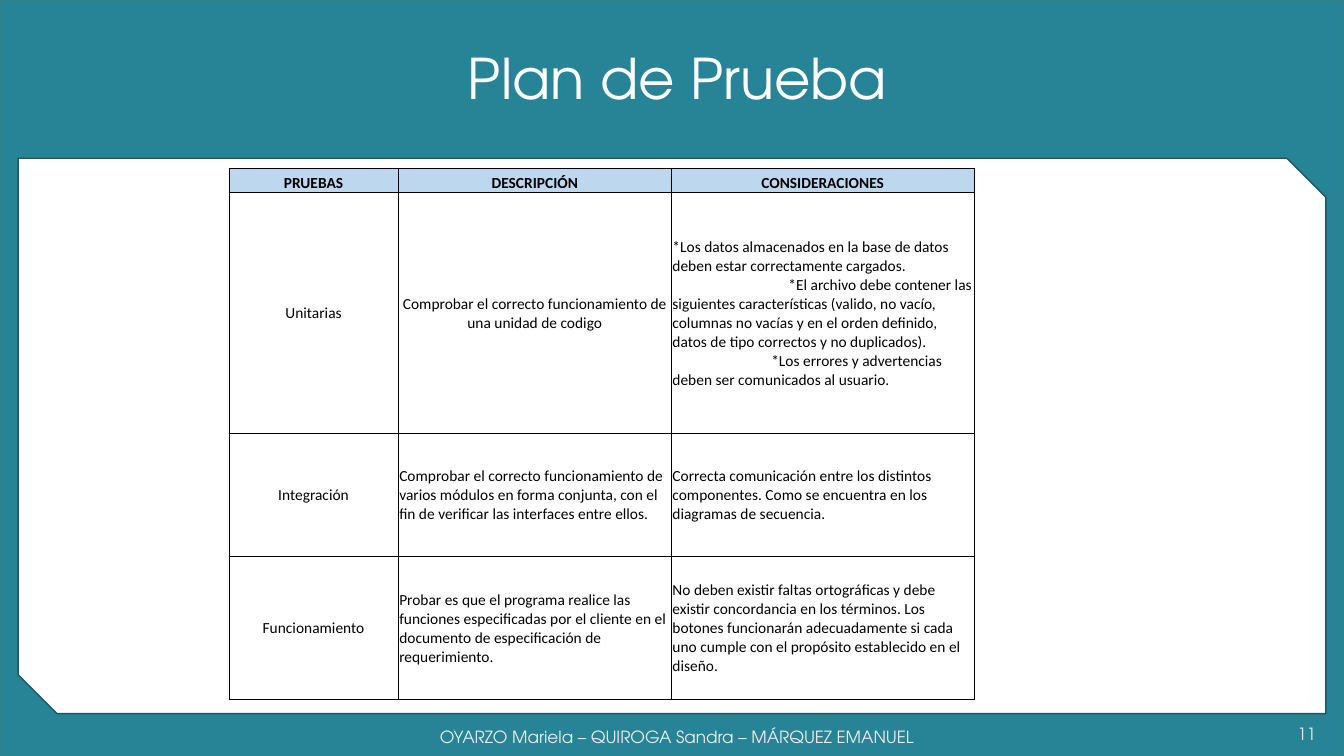
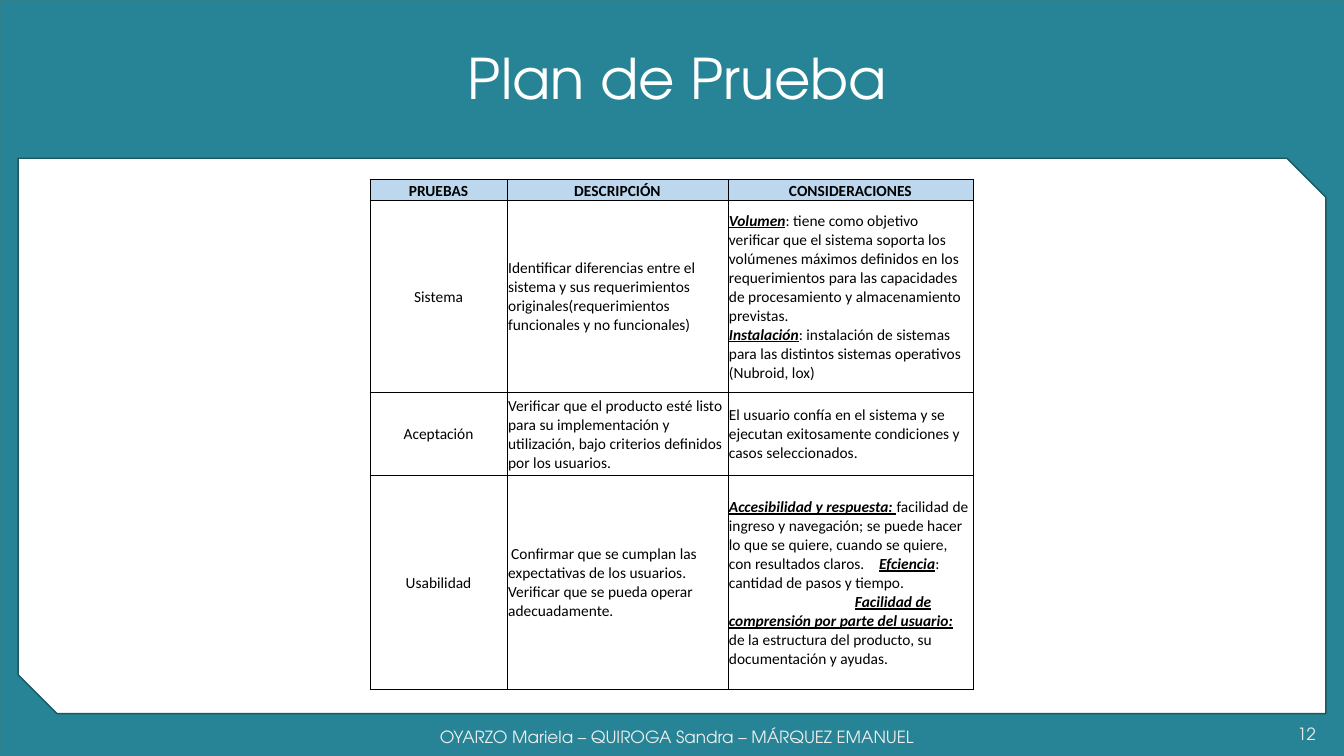
import pptx
import pptx.util
import pptx.dml.color
import pptx.enum.shapes
import pptx.enum.text
import pptx.oxml
import pptx.oxml.ns

Inches = pptx.util.Inches
Pt = pptx.util.Pt
RGB = pptx.dml.color.RGBColor
SHAPE = pptx.enum.shapes.MSO_SHAPE
ALIGN = pptx.enum.text.PP_ALIGN
ANCHOR = pptx.enum.text.MSO_ANCHOR

TEAL = RGB(0x26, 0x84, 0x96)
EDGE = RGB(0x30, 0x81, 0x8C)
DARK = RGB(0x20, 0x57, 0x5E)
WHITE = RGB(0xFF, 0xFF, 0xFF)
PALE = RGB(0xED, 0xED, 0xED)
BLUE = RGB(0xBD, 0xD7, 0xEE)
BLACK = RGB(0, 0, 0)
HEAD_FONT = "TeX Gyre Adventor"
BODY_FONT = "Calibri"

TITLE = "Plan de Prueba"
AUTHORS = "OYARZO Mariela – QUIROGA Sandra – MÁRQUEZ EMANUEL"
HEADER = ["PRUEBAS", "DESCRIPCIÓN", "CONSIDERACIONES"]
TAB_STOP = 1.49

# Each cell is a text or a list of (first-line indent, text); _marks_ emphasise.
SLIDES = [
    {
        "page": "11",
        "at": (2.27, 1.67),
        "cols": [1.68, 2.71, 3],
        "rows": [0.24, 2.39, 1.22, 1.42],
        "centred": {(1, 1)},
        "cells": [
            ["Unitarias",
             "Comprobar el correcto funcionamiento de una unidad de codigo",
             [(0, "*Los datos almacenados en la base de datos deben estar "
                  "correctamente cargados."),
              (1.15, "*El archivo debe contener las siguientes características "
                     "(valido, no vacío, columnas no vacías y en el orden "
                     "definido, datos de tipo correctos y no duplicados)."),
              (0.98, "*Los errores y advertencias deben ser comunicados al "
                     "usuario.")]],
            ["Integración",
             "Comprobar el correcto funcionamiento de varios módulos en forma "
             "conjunta, con el fin de verificar las interfaces entre ellos.",
             "Correcta comunicación entre los distintos componentes. Como se "
             "encuentra en los diagramas de secuencia."],
            ["Funcionamiento",
             "Probar es que el programa realice las funciones especificadas "
             "por el cliente en el documento de especificación de "
             "requerimiento.",
             "No deben existir faltas ortográficas y debe existir concordancia "
             "en los términos. Los botones funcionarán adecuadamente si cada "
             "uno cumple con el propósito establecido en el diseño."],
        ],
    },
    {
        "page": "12",
        "at": (3.67, 1.78),
        "cols": [1.36, 2.19, 2.43],
        "rows": [0.21, 1.9, 0.83, 2.12],
        "centred": set(),
        "cells": [
            ["Sistema",
             "Identificar diferencias entre el sistema y sus requerimientos "
             "originales(requerimientos funcionales y no funcionales)",
             [(0, "_Volumen_: tiene como objetivo verificar que el sistema "
                  "soporta los volúmenes máximos definidos en los "
                  "requerimientos para las capacidades de procesamiento y "
                  "almacenamiento previstas."),
              (0, "_Instalación_: instalación de sistemas para las distintos "
                  "sistemas operativos (Nubroid, lox)")]],
            ["Aceptación",
             "Verificar que el producto esté listo para su implementación y "
             "utilización, bajo criterios definidos por los usuarios.",
             "El usuario confía en el sistema y se ejecutan exitosamente "
             "condiciones y casos seleccionados."],
            ["Usabilidad",
             [(0.03, "Confirmar que se cumplan las expectativas de los "
                     "usuarios."),
              (0, "Verificar que se pueda operar adecuadamente.")],
             [(0, "_Accesibilidad y respuesta: _facilidad de ingreso y "
                  "navegación; se puede hacer lo que se quiere, cuando se "
                  "quiere, con resultados claros.\t_Efciencia_: cantidad de "
                  "pasos y tiempo."),
              (1.25, "_Facilidad de comprensión por parte del usuario:_ de la "
                     "estructura del producto, su documentación y ayudas.")]],
        ],
    },
]


def add_panel(slide, kind, box, fill, line):
    panel = slide.shapes.add_shape(kind, *map(Inches, box))
    panel.shadow.inherit = False
    panel.fill.solid()
    panel.fill.fore_color.rgb = fill
    panel.line.color.rgb = line
    panel.line.width = Pt(1)
    return panel


def set_font(para, name, size, color):
    para.font.name = name
    para.font.size = Pt(size)
    para.font.color.rgb = color


def add_label(slide, box, text, size, color, align):
    frame = slide.shapes.add_textbox(*map(Inches, box)).text_frame
    frame.word_wrap = True
    frame.vertical_anchor = ANCHOR.MIDDLE
    para = frame.paragraphs[0]
    para.text = text
    para.alignment = align
    set_font(para, HEAD_FONT, size, color)
    return para


def add_frame(slide, page):
    add_panel(slide, SHAPE.RECTANGLE, (0, 0, 13.33, 7.5), TEAL, EDGE)
    panel = add_panel(slide, SHAPE.SNIP_2_DIAG_RECTANGLE,
                      (0.18, 1.57, 12.97, 5.51), WHITE, DARK)
    panel.adjustments[0] = 0
    panel.adjustments[1] = 0.07
    title = add_label(slide, (2.68, 0.08, 8.08, 1.45), TITLE, 40, WHITE,
                      ALIGN.CENTER)
    title.line_spacing = 0.9
    add_label(slide, (3.34, 7.11, 6.75, 0.4), AUTHORS, 12, PALE, ALIGN.CENTER)
    add_label(slide, (11.27, 7.08, 1.88, 0.39), page, 12, PALE, ALIGN.RIGHT)


def add_border(cell):
    props = cell._tc.get_or_add_tcPr()
    for side in ("lnL", "lnR", "lnT", "lnB"):
        props.append(pptx.oxml.parse_xml(
            f'<a:{side} {pptx.oxml.ns.nsdecls("a")} w="{Pt(0.5)}">'
            f'<a:solidFill><a:srgbClr val="{BLACK}"/></a:solidFill>'
            f'</a:{side}>'))


def fill_para(para, indent, text):
    props = para._p.get_or_add_pPr()
    if indent:
        props.set("indent", str(Inches(indent)))
    if "\t" in text:
        props.append(pptx.oxml.parse_xml(
            f'<a:tabLst {pptx.oxml.ns.nsdecls("a")}>'
            f'<a:tab pos="{Inches(TAB_STOP)}" algn="l"/></a:tabLst>'))
    for num, part in enumerate(text.split("_")):
        if part:
            run = para.add_run()
            run.text = part
            if num % 2:
                run.font.bold = run.font.italic = run.font.underline = True


def fill_cell(cell, content, head, centred):
    cell.margin_left = cell.margin_right = cell.margin_top = Inches(0.01)
    cell.margin_bottom = 0
    cell.vertical_anchor = ANCHOR.BOTTOM if head else ANCHOR.MIDDLE
    add_border(cell)
    if head:
        cell.fill.solid()
        cell.fill.fore_color.rgb = BLUE
    else:
        cell.fill.background()
    paras = [(0, content)] if isinstance(content, str) else content
    frame = cell.text_frame
    for num, (indent, text) in enumerate(paras):
        para = frame.add_paragraph() if num else frame.paragraphs[0]
        para.alignment = ALIGN.CENTER if centred else ALIGN.LEFT
        set_font(para, BODY_FONT, 11, BLACK)
        para.font.bold = head
        fill_para(para, indent, text)


def add_grid(slide, data):
    cols, rows = data["cols"], data["rows"]
    box = (*data["at"], sum(cols), sum(rows))
    table = slide.shapes.add_table(len(rows), len(cols),
                                   *map(Inches, box)).table
    table.horz_banding = False
    for col, width in zip(table.columns, cols):
        col.width = Inches(width)
    for row, height in zip(table.rows, rows):
        row.height = Inches(height)
    for r, line in enumerate([HEADER] + data["cells"]):
        for c, content in enumerate(line):
            head = r == 0
            centred = head or c == 0 or (r, c) in data["centred"]
            fill_cell(table.cell(r, c), content, head, centred)


def main():
    deck = pptx.Presentation()
    deck.slide_width = Inches(13.33)
    deck.slide_height = Inches(7.5)
    for data in SLIDES:
        slide = deck.slides.add_slide(deck.slide_layouts[6])
        add_frame(slide, data["page"])
        add_grid(slide, data)
    deck.save("out.pptx")


if __name__ == "__main__":
    main()
